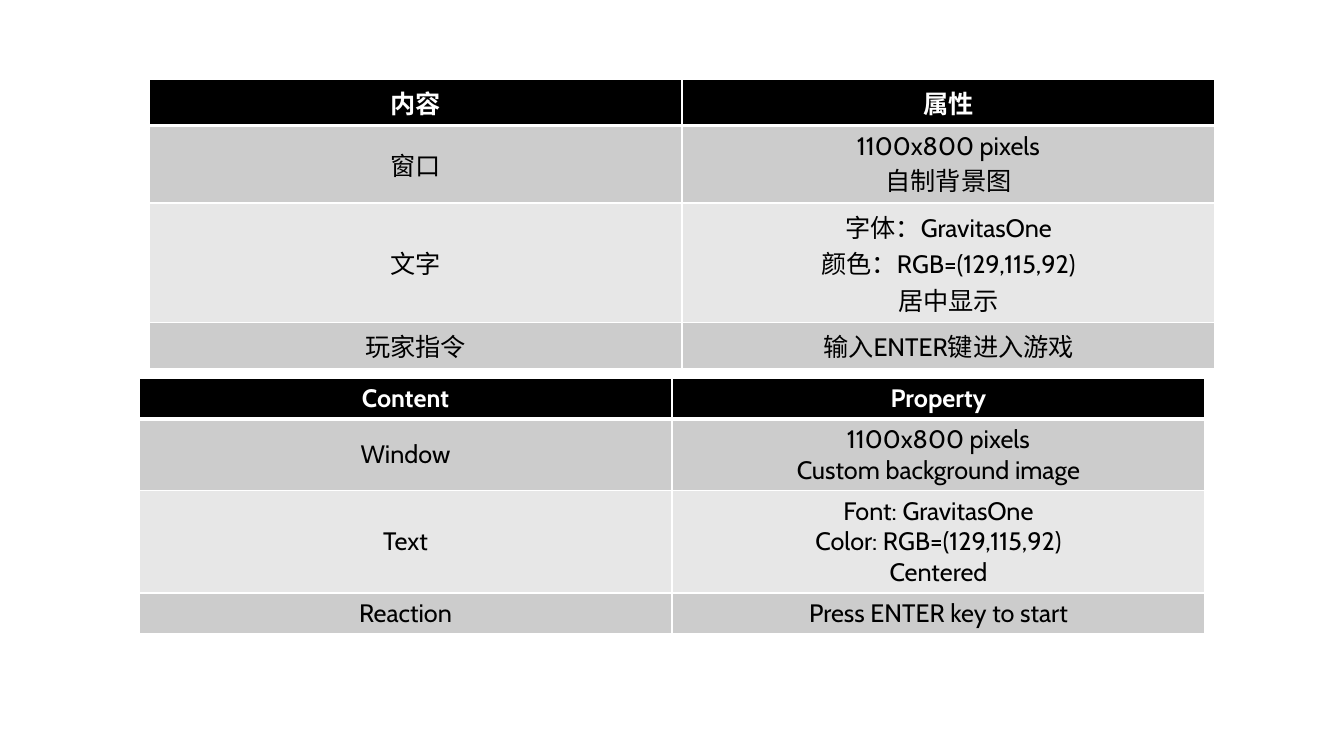
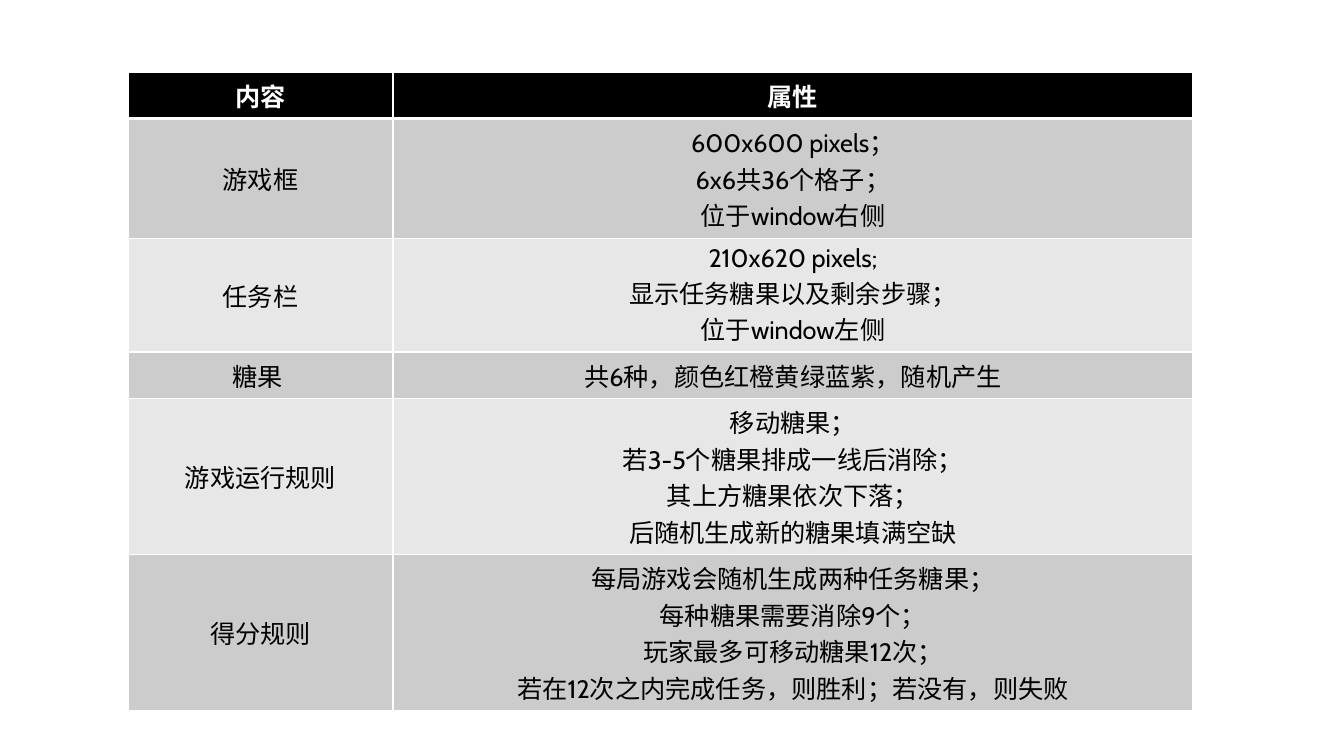
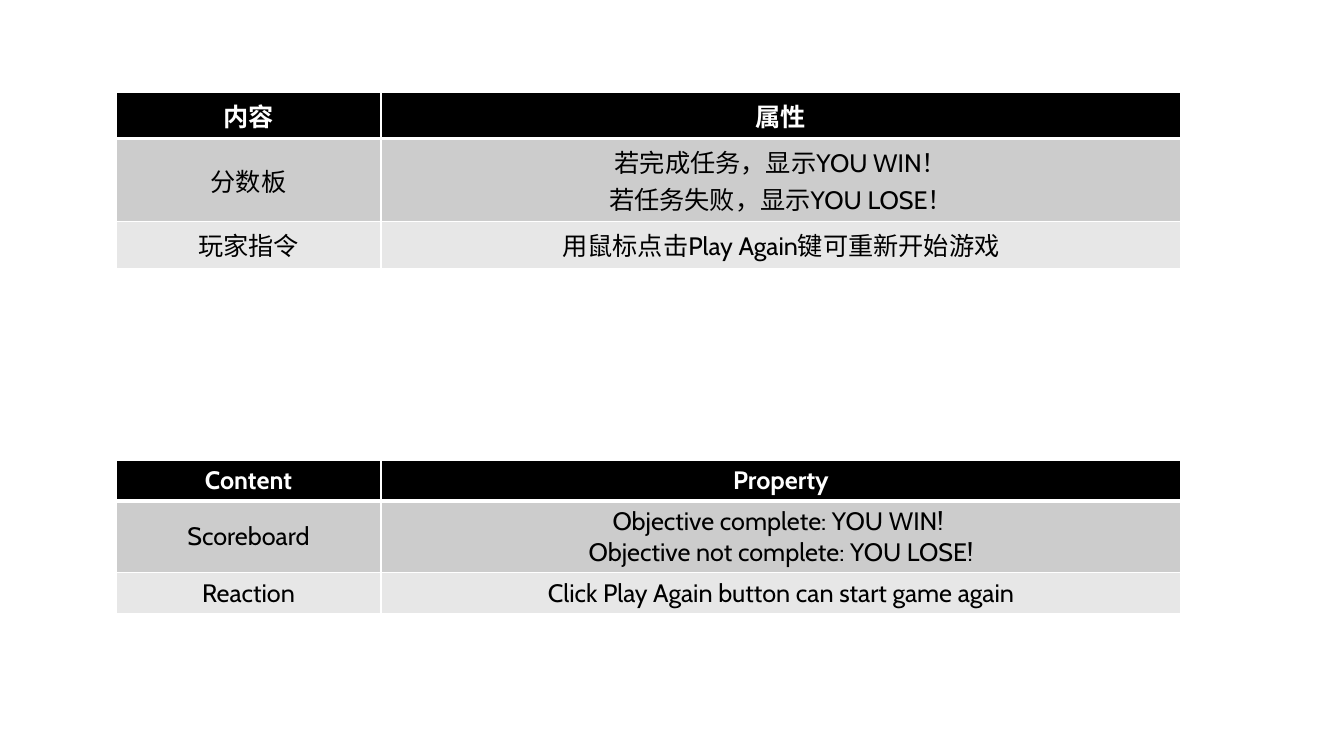
from lxml.etree import SubElement
from pptx import Presentation
from pptx.dml.color import RGBColor
from pptx.enum.text import MSO_ANCHOR, PP_ALIGN
from pptx.oxml.ns import qn
from pptx.util import Pt

PX = 9144000 / 1008  # one pixel in EMU
SLIDE_SIZE = (1344, 756)
ROW_HEIGHT, EXTRA_LINE = 41, 30
FONT, FONT_SIZE = "Cabin", 18
COLORS = {
    "header": "000000",
    "header_text": "FFFFFF",
    "odd_row": "CCCCCC",
    "even_row": "E7E7E7",
    "body_text": "000000",
    "border": "FFFFFF",
}
EQUAL, NARROW_WIDE = (533, 533), (265, 800)
CHINESE, ENGLISH = ("内容", "属性"), ("Content", "Property")

# Each table: left, top, column widths, header, rows; a line break starts a paragraph.
SLIDES = [
    [
        (149, 79, EQUAL, CHINESE, [
            ("窗口", "1100x800 pixels\n自制背景图"),
            ("文字", "字体：GravitasOne\n颜色：RGB=(129,115,92)\n居中显示"),
            ("玩家指令", "输入ENTER键进入游戏"),
        ]),
        (139, 378, EQUAL, ENGLISH, [
            ("Window", "1100x800 pixels\nCustom background image"),
            ("Text", "Font: GravitasOne\nColor: RGB=(129,115,92)\nCentered"),
            ("Reaction", "Press ENTER key to start"),
        ]),
    ],
    [
        (128, 72, NARROW_WIDE, CHINESE, [
            ("游戏框", "600x600 pixels；\n6x6共36个格子；\n位于window右侧"),
            ("任务栏", "210x620 pixels;\n显示任务糖果以及剩余步骤；\n位于window左侧"),
            ("糖果 ", "共6种，颜色红橙黄绿蓝紫，随机产生"),
            ("游戏运行规则", "移动糖果；\n若3-5个糖果排成一线后消除；\n"
                       "其上方糖果依次下落；\n后随机生成新的糖果填满空缺"),
            ("得分规则", "每局游戏会随机生成两种任务糖果；\n每种糖果需要消除9个；\n"
                     "玩家最多可移动糖果12次；\n若在12次之内完成任务，则胜利；若没有，则失败"),
        ]),
    ],
    [
        (116, 460, NARROW_WIDE, ENGLISH, [
            ("Scoreboard", "Objective complete: YOU WIN! \nObjective not complete: YOU LOSE!"),
            ("Reaction", "Click Play Again button can start game again"),
        ]),
        (116, 92, NARROW_WIDE, CHINESE, [
            ("分数板", "若完成任务，显示YOU WIN！\n若任务失败，显示YOU LOSE！"),
            ("玩家指令", "用鼠标点击Play Again键可重新开始游戏"),
        ]),
    ],
]


def px(length):
    return round(length * PX)


def add_borders(cell, row_index):
    """Draw thin borders, with a thick one between header and body."""
    properties = cell._tc.get_or_add_tcPr()
    widths = {"lnL": 1, "lnR": 1,
              "lnT": 3 if row_index == 1 else 1,
              "lnB": 3 if row_index == 0 else 1}
    for position, (side, width) in enumerate(widths.items()):
        line = SubElement(properties, qn(f"a:{side}"), w=str(Pt(width)))
        fill = SubElement(line, qn("a:solidFill"))
        SubElement(fill, qn("a:srgbClr"), val=COLORS["border"])
        properties.insert(position, line)


def fill_cell(cell, text, row_index):
    is_header = row_index == 0
    background = "header" if is_header else "odd_row" if row_index % 2 else "even_row"
    text_color = COLORS["header_text" if is_header else "body_text"]
    cell.text_frame.text = text
    cell.vertical_anchor = MSO_ANCHOR.MIDDLE
    cell.fill.solid()
    cell.fill.fore_color.rgb = RGBColor.from_string(COLORS[background])
    for paragraph in cell.text_frame.paragraphs:
        paragraph.alignment = PP_ALIGN.CENTER
        for run in paragraph.runs:
            run.font.name = FONT
            run.font.size = Pt(FONT_SIZE)
            run.font.bold = is_header
            run.font.color.rgb = RGBColor.from_string(text_color)
    add_borders(cell, row_index)


def add_property_table(slide, left, top, widths, header, body):
    rows = [header, *body]
    base_height = ROW_HEIGHT * len(rows)
    extra_lines = sum(details.count("\n") for _, details in rows)
    frame = slide.shapes.add_table(len(rows), len(widths), px(left), px(top),
                                   px(sum(widths)), px(base_height))
    for column, width in zip(frame.table.columns, widths):
        column.width = px(width)
    for row_index, row in enumerate(rows):
        for column_index, text in enumerate(row):
            fill_cell(frame.table.cell(row_index, column_index), text, row_index)
    frame.height = px(base_height + EXTRA_LINE * extra_lines)


def main():
    presentation = Presentation()
    presentation.slide_width, presentation.slide_height = map(px, SLIDE_SIZE)
    blank_layout = presentation.slide_layouts[6]
    for tables in SLIDES:
        slide = presentation.slides.add_slide(blank_layout)
        for table in tables:
            add_property_table(slide, *table)
    presentation.save("out.pptx")


if __name__ == "__main__":
    main()
